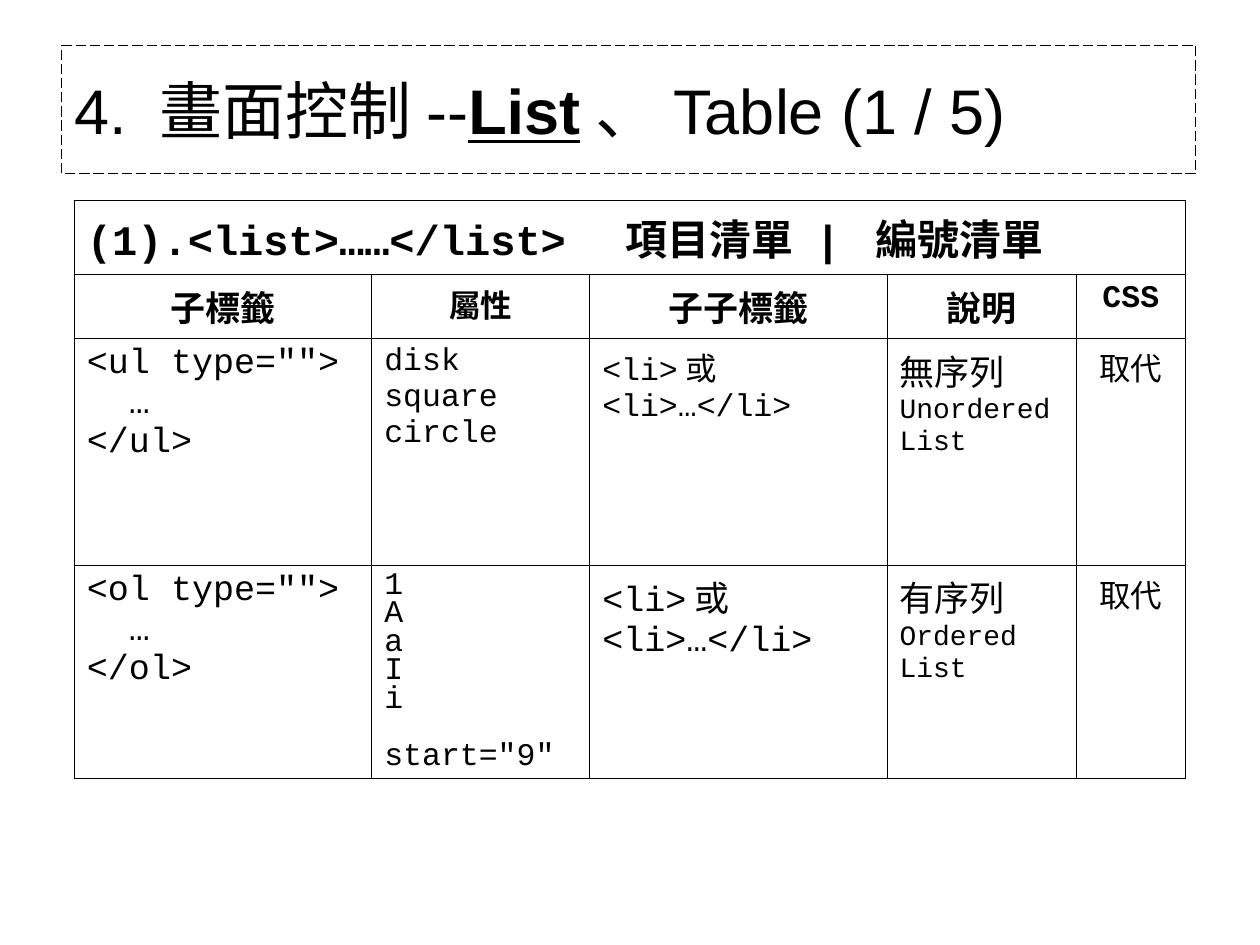
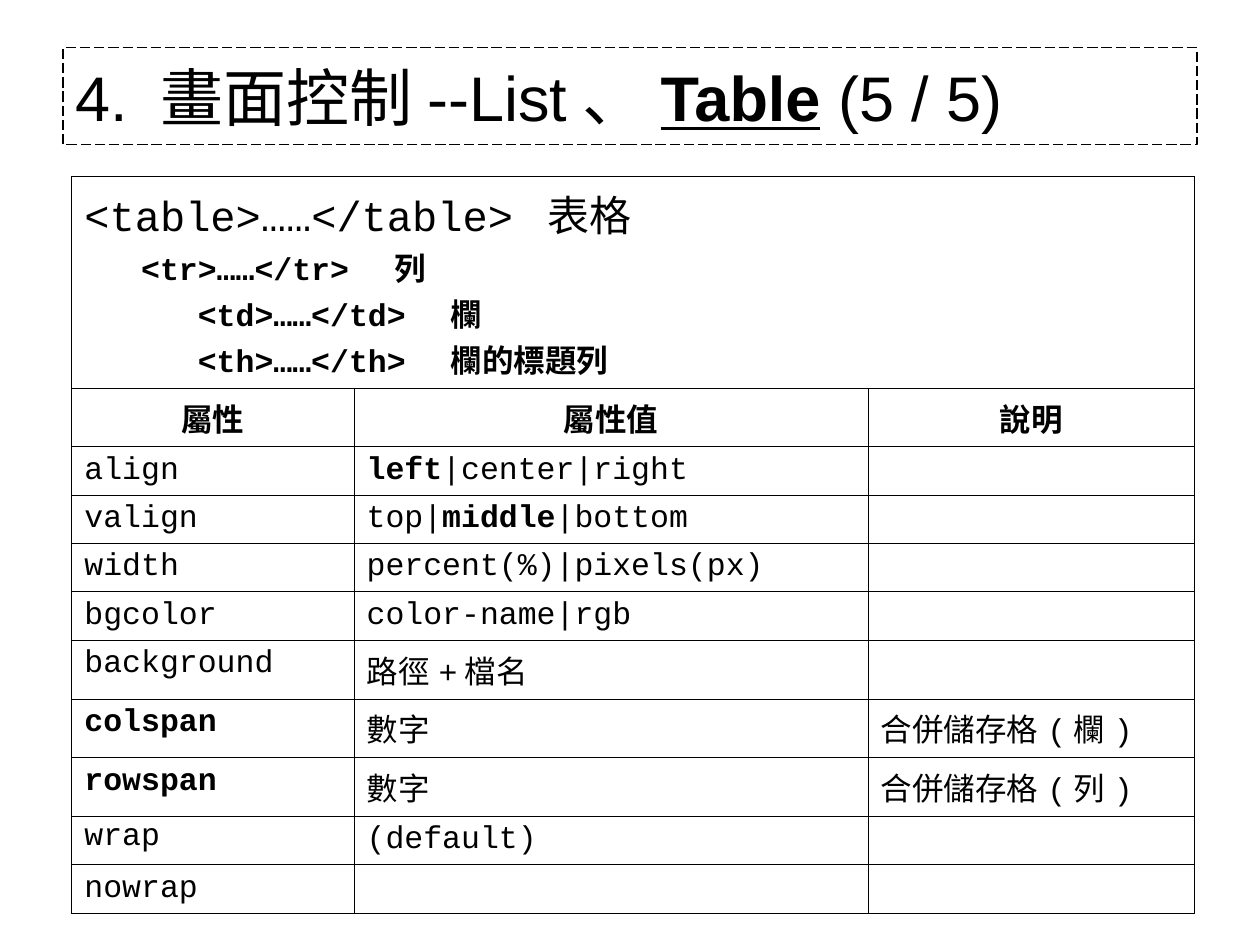
from dataclasses import dataclass, field

from lxml import etree
from pptx import Presentation
from pptx import util as u
from pptx.dml.color import RGBColor
from pptx.enum import dml, shapes, text
from pptx.oxml import ns

BLACK = RGBColor(0x00, 0x00, 0x00)
TITLE_FONT, CODE_FONT = "Arial", "Courier New"
BORDER_WIDTH = u.Pt(0.45)
LEFT, CENTER = text.PP_ALIGN.LEFT, text.PP_ALIGN.CENTER
BOLD = {"bold": True}
UNDERLINED = {"bold": True, "underline": True}
SMALLER = {"size": u.Pt(16)}
SUB_TAG = {"bold": True, "size": u.Pt(18)}


@dataclass
class Entry:
    """Lines of a table cell; text between asterisks takes the accent."""
    lines: str = ""
    size: float = 18
    bold: bool = False
    align: int = LEFT
    spacing: float = 1.0
    accent: dict = field(default_factory=lambda: BOLD)


def write_line(paragraph, line, font_name, size, bold, accent):
    """Write one line, applying the accent to every second run."""
    for position, part in enumerate(line.split("*")):
        if not part:
            continue
        run = paragraph.add_run()
        run.text = part
        run.font.name, run.font.size, run.font.bold = font_name, u.Pt(size), bold
        run.font.color.rgb = BLACK
        if position % 2:
            for name, value in accent.items():
                setattr(run.font, name, value)


def add_title(slide, left, top, width, height, heading):
    """Add the dashed title frame."""
    frame = slide.shapes.add_shape(
        shapes.MSO_SHAPE.RECTANGLE, *map(u.Inches, (left, top, width, height)))
    frame.shadow.inherit = False
    frame.fill.background()
    frame.line.color.rgb = BLACK
    frame.line.width = u.Pt(0.75)
    frame.line.dash_style = dml.MSO_LINE.LONG_DASH
    frame.text_frame.word_wrap = True
    frame.text_frame.vertical_anchor = text.MSO_ANCHOR.MIDDLE
    paragraph = frame.text_frame.paragraphs[0]
    paragraph.alignment = LEFT
    write_line(paragraph, heading, TITLE_FONT, 36, False, UNDERLINED)


def style_cell(cell):
    """Give a cell thin black borders and no fill."""
    properties = cell._tc.get_or_add_tcPr()
    for side in ("L", "R", "T", "B"):
        border = etree.SubElement(
            properties, ns.qn(f"a:ln{side}"), w=str(int(BORDER_WIDTH)))
        fill = etree.SubElement(border, ns.qn("a:solidFill"))
        etree.SubElement(fill, ns.qn("a:srgbClr"), val=str(BLACK))
    cell.fill.background()


def fill_cell(cell, entry):
    """Write an entry into a cell."""
    frame = cell.text_frame
    for number, line in enumerate(entry.lines.split("\n")):
        paragraph = frame.add_paragraph() if number else frame.paragraphs[0]
        paragraph.alignment = entry.align
        paragraph.line_spacing = entry.spacing
        write_line(paragraph, line, CODE_FONT, entry.size, entry.bold, entry.accent)
        if not line:
            paragraph._p.get_or_add_endParaRPr().set("sz", "1400")


def add_tag_table(slide, left, top, widths, heights, banner, rows):
    """Add a table whose first row is a banner across all columns."""
    table = slide.shapes.add_table(
        len(heights), len(widths), u.Inches(left), u.Inches(top),
        u.Inches(sum(widths)), u.Inches(sum(heights))).table
    table.first_row = table.horz_banding = False
    for column, width in zip(table.columns, widths):
        column.width = u.Inches(width)
    for row, height in zip(table.rows, heights):
        row.height = u.Inches(height)
    for cell in table.iter_cells():
        style_cell(cell)
    table.cell(0, 0).merge(table.cell(0, len(widths) - 1))
    fill_cell(table.cell(0, 0), banner)
    for row_number, entries in enumerate(rows, start=1):
        for column_number, entry in enumerate(entries):
            fill_cell(table.cell(row_number, column_number), entry)
    return table


def header(label, size=18):
    """Make a centred bold column heading."""
    return Entry(label, size, bold=True, align=CENTER)


def list_row(tag, attributes, item_size, description, spacing=1.0):
    """Make the row that describes one kind of list."""
    return [
        Entry(f'<{tag} type="">\n  …\n</{tag}>', 20),
        Entry(attributes, spacing=spacing),
        Entry("<li>或\n<li>…</li>", item_size),
        Entry(description, 20, accent=SMALLER),
        Entry("取代", align=CENTER),
    ]


def build_list_slide(slide):
    """Build the slide on list tags."""
    add_title(slide, 0.49, 0.36, 9, 1.02, "4. 畫面控制--*List*、Table (1 / 5)")
    headings = [("子標籤", 20), ("屬性", 18), ("子子標籤", 20), ("說明", 20), ("CSS", 18)]
    rows = [
        [header(*heading) for heading in headings],
        list_row("ul", "disk\nsquare\ncircle", 18, "無序列*Unordered List"),
        list_row("ol", '1\nA\na\nI\ni\nstart="9"', 20, "有序列*Ordered List", 0.8),
    ]
    table = add_tag_table(
        slide, 0.59, 1.59, [2.36, 1.73, 2.36, 1.5, 0.87], [0.59, 0.5, 1.8, 1.69],
        Entry("(1).<list>……</list>  項目清單 | 編號清單", 24, bold=True), rows)
    start_attribute = table.cell(3, 1).text_frame.paragraphs[-1]
    start_attribute.space_before = u.Pt(16.5)


def build_table_slide(slide):
    """Build the slide on table tags."""
    add_title(slide, 0.5, 0.38, 9, 0.77, "4. 畫面控制--List、*Table* (5 / 5)")
    banner = Entry(
        "<table>……</table> 表格\n*   <tr>……</tr>  列\n"
        "*      <td>……</td>  欄\n*      <th>……</th>  欄的標題列",
        24, accent=SUB_TAG)
    attributes = [
        ("align", "*left*|center|right", ""),
        ("valign", "top|*middle*|bottom", ""),
        ("width", "percent(%)|pixels(px)", ""),
        ("bgcolor", "color-name|rgb", ""),
        ("background", "路徑+檔名", ""),
        ("*colspan*", "數字", "合併儲存格(欄)"),
        ("*rowspan*", "數字", "合併儲存格(列)"),
        ("wrap", "(default)", ""),
        ("nowrap", "", ""),
    ]
    rows = [[header(label) for label in ("屬性", "屬性值", "說明")]]
    rows += [[Entry(value) for value in values] for values in attributes]
    rows[8][0].spacing = 0.8
    heights = [1.67, 0.46] + [0.38] * 4 + [0.46] * 3 + [0.38] * 2
    add_tag_table(slide, 0.57, 1.4, [2.24, 4.08, 2.59], heights, banner, rows)


def main():
    """Build and save the presentation."""
    deck = Presentation()
    deck.slide_width, deck.slide_height = u.Inches(10), u.Inches(7.5)
    for build in (build_list_slide, build_table_slide):
        build(deck.slides.add_slide(deck.slide_layouts[6]))
    deck.save("out.pptx")


if __name__ == "__main__":
    main()
